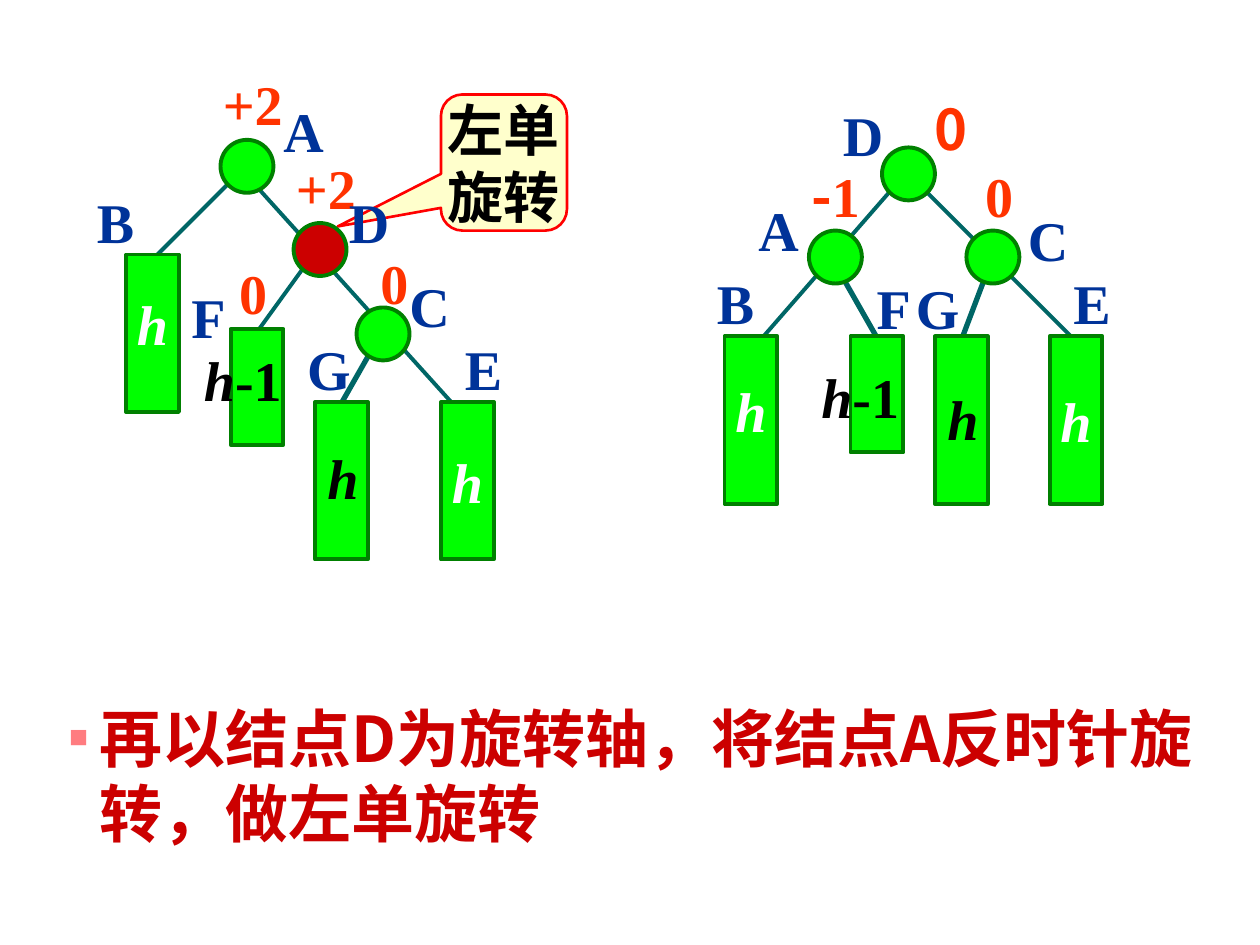
from dataclasses import dataclass
from typing import NamedTuple

from lxml.etree import SubElement
from pptx import Presentation
from pptx.dml.color import RGBColor
from pptx.enum.shapes import MSO_CONNECTOR, MSO_SHAPE
from pptx.enum.text import MSO_ANCHOR, MSO_AUTO_SIZE, PP_ALIGN
from pptx.oxml.ns import qn
from pptx.util import Inches, Pt


@dataclass(frozen=True)
class Theme:
    latin: str = "Times New Roman"
    cjk: str = "Noto Sans CJK SC"
    label_size: int = 32
    body_size: int = 36
    name: str = "003399"
    balance: str = "FF3300"
    black: str = "000000"
    white: str = "FFFFFF"
    edge: str = "006666"
    outline: str = "008000"
    node: str = "00FF00"
    pivot: str = "CC0000"
    callout: str = "FFFFCC"
    callout_line: str = "FF0000"
    body: str = "CC0000"
    bullet: str = "FF7C80"


T = Theme()
NODE = 0.42          # node diameter and subtree width
LABEL_H = 0.64
OUTLINE_W = 2.25
# Label box widths, wide enough to keep each label on one line
WIDTHS = {"A": 0.52, "B": 0.49, "C": 0.52, "D": 0.52, "E": 0.49, "F": 0.47,
          "G": 0.54, "0": 0.42, "+2": 0.72, "-1": 0.69, "h": 0.45, "h-1": 0.84}


class Edge(NamedTuple):
    x1: float
    y1: float
    x2: float
    y2: float
    width: float = 2.25


class Node(NamedTuple):
    x: float
    y: float
    fill: str = T.node


class Subtree(NamedTuple):
    x: float
    y: float
    h: float
    text: str = ""
    spacing: float = 1.0


class Label(NamedTuple):
    text: str
    x: float
    y: float
    color: str = T.name
    font: str = T.latin


class Tree(NamedTuple):
    edges: list[Edge]
    nodes: list[Node]
    subtrees: list[Subtree]
    labels: list[Label]


def rgb(color: str) -> RGBColor:
    return RGBColor.from_string(color)


def add_run(p, text: str, *, color: str, size: int = T.label_size,
            font: str = T.latin, italic: bool = False) -> None:
    r = p.add_run()
    r.text = text
    r.font.size, r.font.bold, r.font.italic = Pt(size), True, italic
    r.font.name = font
    r.font.color.rgb = rgb(color)
    SubElement(r.font._element, qn("a:ea")).set("typeface", T.cjk)


def add_shape(shapes, kind, x: float, y: float, w: float, h: float, *,
              fill: str, line: str = T.outline, width: float = OUTLINE_W):
    sp = shapes.add_shape(kind, Inches(x), Inches(y), Inches(w), Inches(h))
    sp.shadow.inherit = False
    sp.fill.solid()
    sp.fill.fore_color.rgb = rgb(fill)
    sp.line.color.rgb = rgb(line)
    sp.line.width = Pt(width)
    sp.text_frame.word_wrap = False
    sp.text_frame.vertical_anchor = MSO_ANCHOR.MIDDLE
    return sp


def add_box(shapes, x: float, y: float, w: float, h: float, *, wrap: bool = False):
    tf = shapes.add_textbox(Inches(x), Inches(y), Inches(w), Inches(h)).text_frame
    tf.word_wrap = wrap
    tf.auto_size = MSO_AUTO_SIZE.SHAPE_TO_FIT_TEXT
    return tf.paragraphs[0]


def draw_edge(shapes, e: Edge) -> None:
    line = shapes.add_connector(MSO_CONNECTOR.STRAIGHT, Inches(e.x1), Inches(e.y1),
                                Inches(e.x2), Inches(e.y2))
    line.line.color.rgb = rgb(T.edge)
    line.line.width = Pt(e.width)
    SubElement(line._element.spPr, qn("a:effectLst"))


def draw_subtree(shapes, b: Subtree) -> None:
    sp = add_shape(shapes, MSO_SHAPE.RECTANGLE, b.x, b.y, NODE, b.h, fill=T.node)
    if b.text:
        p = sp.text_frame.paragraphs[0]
        p.alignment = PP_ALIGN.CENTER
        p.line_spacing = b.spacing
        add_run(p, b.text, color=T.white, italic=True)


def draw_label(shapes, lb: Label) -> None:
    p = add_box(shapes, lb.x, lb.y, WIDTHS[lb.text], LABEL_H)
    if lb.text.startswith("h"):
        add_run(p, "h", color=lb.color, italic=True)
        if lb.text[1:]:
            add_run(p, lb.text[1:], color=lb.color)
    elif lb.text == "-1":
        add_run(p, "-", color=lb.color, font=T.cjk)
        add_run(p, "1", color=lb.color)
    else:
        add_run(p, lb.text, color=lb.color, font=lb.font)


def draw_tree(s, tree: Tree) -> None:
    shapes = s.shapes.add_group_shape().shapes
    for e in tree.edges:
        draw_edge(shapes, e)
    for n in tree.nodes:
        add_shape(shapes, MSO_SHAPE.OVAL, n.x, n.y, NODE, NODE, fill=n.fill)
    for b in tree.subtrees:
        draw_subtree(shapes, b)
    for lb in tree.labels:
        draw_label(shapes, lb)


def draw_callout(s) -> None:
    sp = add_shape(s.shapes, MSO_SHAPE.ROUNDED_RECTANGULAR_CALLOUT, 3.5, 0.75, 1, 1.08,
                   fill=T.callout, line=T.callout_line, width=1.5)
    for i, value in enumerate((-1.32, 0.47, 0.17)):
        sp.adjustments[i] = value
    tf = sp.text_frame
    for p, text in zip((tf.paragraphs[0], tf.add_paragraph()), ("左单", "旋转")):
        p.alignment = PP_ALIGN.CENTER
        add_run(p, text, color=T.black)


def draw_statement(s) -> None:
    p = add_box(s.shapes, 0.45, 5.5, 9.13, 1.3, wrap=True)
    p.space_before = Pt(9)
    pPr = p._p.get_or_add_pPr()
    pPr.set("marL", str(Inches(0.24)))
    pPr.set("indent", str(Inches(-0.24)))
    SubElement(SubElement(pPr, qn("a:buClr")), qn("a:srgbClr")).set("val", T.bullet)
    SubElement(pPr, qn("a:buSzPct")).set("val", "50000")
    SubElement(pPr, qn("a:buFont")).set("typeface", T.latin)
    SubElement(pPr, qn("a:buChar")).set("char", "■")
    add_run(p, "再以结点D为旋转轴，将结点A反时针旋转，做左单旋转",
            color=T.body, size=T.body_size, font=T.cjk)


AFTER = Tree(
    [Edge(7.83, 2.17, 7.58, 2.83, 3), Edge(7.33, 1.5, 8.5, 2.67),
     Edge(7.08, 1.5, 5.92, 2.83), Edge(6.67, 2.17, 7, 2.75, 3)],
    [Node(6.42, 1.83), Node(7, 1.17), Node(7.67, 1.83)],
    [Subtree(8.33, 2.67, 1.33, "h"), Subtree(5.75, 2.67, 1.33, "h", 0.6),
     Subtree(7.42, 2.67, 1.33), Subtree(6.75, 2.67, 0.92)],
    [Label("0", 7.32, 0.7, T.balance, T.cjk), Label("-1", 6.34, 1.23, T.balance),
     Label("0", 7.72, 1.23, T.balance), Label("h-1", 6.42, 2.83, T.black),
     Label("h", 7.42, 3, T.black), Label("A", 5.92, 1.5), Label("C", 8.06, 1.58),
     Label("E", 8.42, 2.08), Label("D", 6.59, 0.75), Label("B", 5.59, 2.08),
     Label("F", 6.86, 2.12), Label("G", 7.17, 2.12)])

BEFORE = Tree(
    [Edge(3, 2.69, 2.67, 3.27, 3), Edge(1.83, 1.44, 1.08, 2.19),
     Edge(2, 1.44, 3.58, 3.19), Edge(2.42, 2.11, 2, 2.69)],
    [Node(2.33, 1.77, T.pivot), Node(1.75, 1.11), Node(2.83, 2.44)],
    [Subtree(3.5, 3.19, 1.25, "h"), Subtree(1, 2.02, 1.25, "h", 0.6),
     Subtree(2.5, 3.19, 1.25), Subtree(1.83, 2.61, 0.92)],
    [Label("0", 2.92, 1.92, T.balance), Label("0", 1.8, 2, T.balance),
     Label("+2", 1.67, 0.5, T.balance), Label("+2", 2.25, 1.17, T.balance),
     Label("h-1", 1.52, 2.69, T.black), Label("h", 2.5, 3.47, T.black),
     Label("A", 2.15, 0.72), Label("C", 3.15, 2.11), Label("E", 3.59, 2.61),
     Label("B", 0.67, 1.44), Label("F", 1.42, 2.19), Label("G", 2.34, 2.61),
     Label("D", 2.67, 1.44)])


def main() -> None:
    prs = Presentation()
    prs.slide_width, prs.slide_height = Inches(10), Inches(7.5)
    s = prs.slides.add_slide(prs.slide_layouts[6])
    draw_callout(s)
    for tree in (AFTER, BEFORE):
        draw_tree(s, tree)
    draw_statement(s)
    prs.save("out.pptx")


if __name__ == "__main__":
    main()
